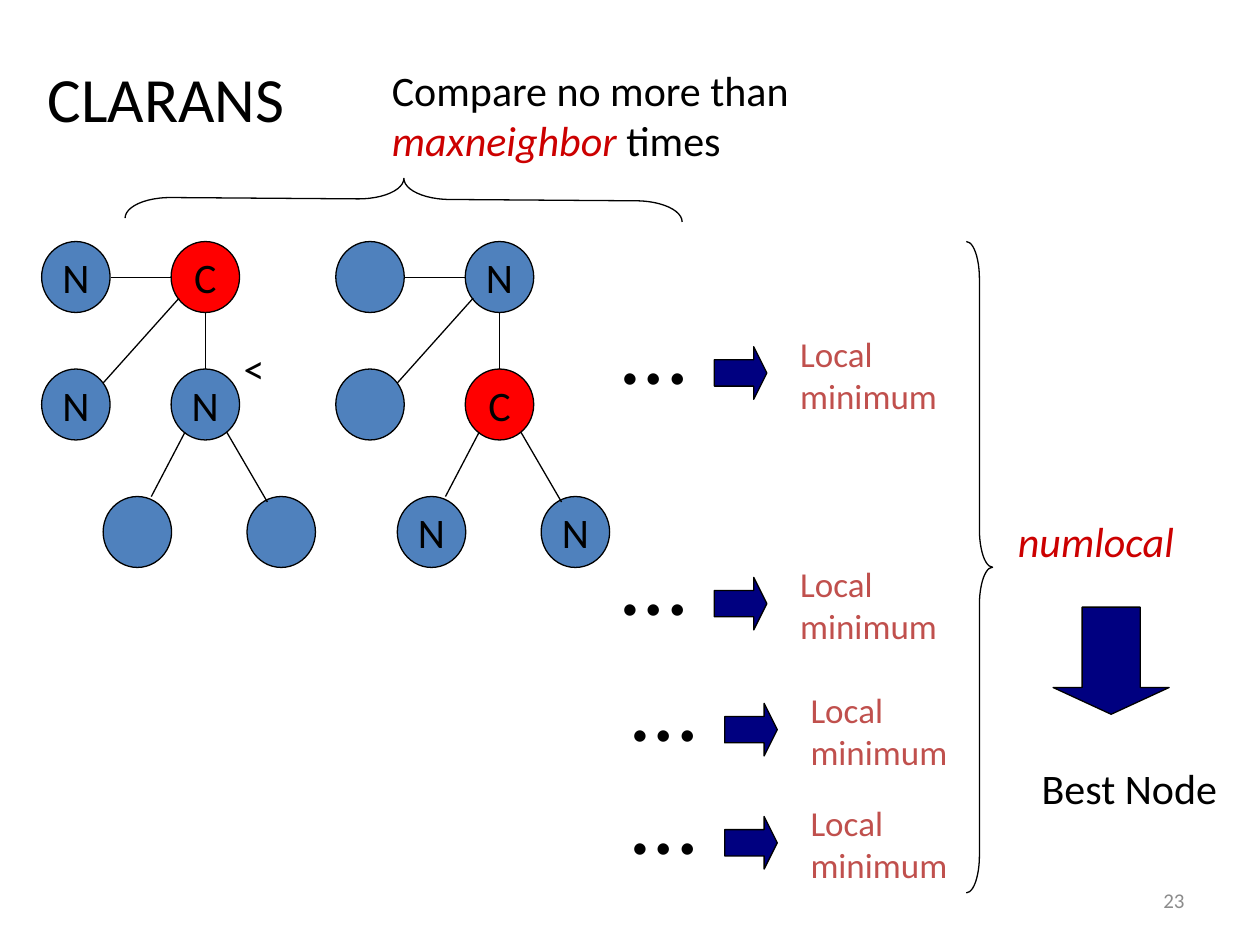
from lxml.etree import SubElement
from pptx import Presentation
from pptx.dml.color import RGBColor
from pptx.enum.shapes import MSO_CONNECTOR, MSO_SHAPE as SHAPE
from pptx.enum.text import MSO_ANCHOR as ANCHOR, PP_ALIGN as ALIGN
from pptx.oxml.ns import qn
from pptx.util import Cm, Pt

BLACK = RGBColor(0x00, 0x00, 0x00)
GREY = RGBColor(0x8C, 0x8C, 0x8C)
BLUE = RGBColor(0x4F, 0x81, 0xBD)
RED = RGBColor(0xFF, 0x00, 0x00)
NAVY = RGBColor(0x00, 0x00, 0x80)
BRICK = RGBColor(0xC0, 0x50, 0x4D)
CRIMSON = RGBColor(0xCC, 0x00, 0x00)
FONT = "Calibri"

NODE_W, NODE_H = 1.38, 1.43
ROW_PITCH = 2.57
# Node offsets from the top left of a tree: column, row
NODES = [(0, 0), (2.61, 0), (0, 1), (2.61, 1), (1.24, 2), (4.14, 2)]
# Edge offsets from the top left of a tree: x1, y1, x2, y2
EDGES = [(1.4, 0.72, 2.61, 0.72), (3.3, 1.43, 3.3, 2.57),
         (2.77, 1.14, 1.24, 2.85), (2.89, 3.84, 2.21, 5.14),
         (3.73, 3.84, 4.55, 5.25)]
TREES = [(0.84, ["N", "C", "N", "N", "", ""]),
         (6.77, ["", "N", "", "C", "N", "N"])]
TREE_TOP = 4.87
SEARCH_ARROWS = [(14.4, 6.99), (14.4, 11.64), (14.61, 14.18), (14.61, 16.46)]


def add_run(p, text, size, color=BLACK, italic=False):
    r = p.add_run()
    r.text = text
    r.font.name = FONT
    r.font.size = Pt(size)
    r.font.color.rgb = color
    r.font.italic = italic


def add_text(s, x, y, w, h, runs, align=ALIGN.LEFT, anchor=ANCHOR.TOP):
    """Each run is (text, size[, color[, italic]])."""
    tf = s.shapes.add_textbox(Cm(x), Cm(y), Cm(w), Cm(h)).text_frame
    tf.word_wrap = True
    tf.vertical_anchor = anchor
    p = tf.paragraphs[0]
    p.alignment = align
    for run in runs:
        add_run(p, *run)


def add_outlined(s, kind, x, y, w, h, fill=None, adjustments=()):
    sp = s.shapes.add_shape(kind, Cm(x), Cm(y), Cm(w), Cm(h))
    sp.shadow.inherit = False
    sp.line.color.rgb = BLACK
    sp.line.width = Pt(0.75)
    if fill is None:
        sp.fill.background()
    else:
        sp.fill.solid()
        sp.fill.fore_color.rgb = fill
    for i, value in enumerate(adjustments):
        sp.adjustments[i] = value
    return sp


def add_node(s, x, y, label):
    fill = RED if label == "C" else BLUE
    sp = add_outlined(s, SHAPE.OVAL, x, y, NODE_W, NODE_H, fill)
    if label:
        tf = sp.text_frame
        tf.word_wrap = False
        tf.vertical_anchor = ANCHOR.MIDDLE
        p = tf.paragraphs[0]
        p.alignment = ALIGN.CENTER
        add_run(p, label, 24)


def add_edge(s, x1, y1, x2, y2):
    line = s.shapes.add_connector(MSO_CONNECTOR.STRAIGHT,
                                  Cm(x1), Cm(y1), Cm(x2), Cm(y2))
    line.line.color.rgb = BLACK
    line.line.width = Pt(0.75)
    SubElement(line._element.spPr, qn("a:effectLst"))


def add_tree(s, left, labels):
    for (dx, row), label in zip(NODES, labels):
        add_node(s, left + dx, TREE_TOP + row * ROW_PITCH, label)
    for x1, y1, x2, y2 in EDGES:
        add_edge(s, left + x1, TREE_TOP + y1, left + x2, TREE_TOP + y2)


def add_search(s, x, y):
    """Ellipsis, arrow and result of one local search; x, y place the arrow."""
    add_outlined(s, SHAPE.RIGHT_ARROW, x, y, 1.06, 1.06, NAVY, (0.5, 0.25))
    add_text(s, x + 1.48, y - 0.42, 3.81, 1.96, [("Local minimum", 20, BRICK)])
    add_text(s, x - 2.12, y - 1.27, 2.12, 2.54, [("…", 54)])


def add_title(s, text):
    title = s.shapes.title
    title.left, title.top = Cm(0.71), Cm(0.38)
    title.width, title.height = Cm(22.86), Cm(3.18)
    title.text_frame.vertical_anchor = ANCHOR.MIDDLE
    p = title.text_frame.paragraphs[0]
    p.alignment = ALIGN.LEFT
    add_run(p, text, 36)


def main():
    prs = Presentation()
    prs.slide_width, prs.slide_height = Cm(25.4), Cm(19.05)
    s = prs.slides.add_slide(prs.slide_layouts[5])

    add_title(s, "CLARANS")
    add_text(s, 18.2, 17.65, 5.93, 1.01, [("23", 12, GREY)],
             ALIGN.RIGHT, ANCHOR.MIDDLE)

    for left, labels in TREES:
        add_tree(s, left, labels)
    add_text(s, 4.66, 6.77, 1.48, 1.27, [("<", 24)])

    neighbor_brace = add_outlined(s, SHAPE.RIGHT_BRACE, 7.72, -1.6, 0.84, 11.23,
                                  adjustments=(1.1, 0.5))
    neighbor_brace.rotation = 270.4
    add_text(s, 7.65, 1.17, 11.4, 2.31,
             [("Compare no more than ", 24),
              ("maxneighbor ", 24, CRIMSON, True),
              ("times", 24)])

    for x, y in SEARCH_ARROWS:
        add_search(s, x, y)

    add_outlined(s, SHAPE.RIGHT_BRACE, 19.48, 4.87, 0.53, 13.13,
                 adjustments=(1.42, 0.5))
    add_text(s, 20.27, 10.26, 4.27, 1.27, [("numlocal", 24, CRIMSON, True)])
    add_outlined(s, SHAPE.DOWN_ARROW, 21.23, 12.24, 2.34, 2.16, NAVY, (0.5, 0.25))
    add_text(s, 20.75, 15.24, 4.65, 1.27, [("Best Node", 24)])

    prs.save("out.pptx")


if __name__ == "__main__":
    main()
